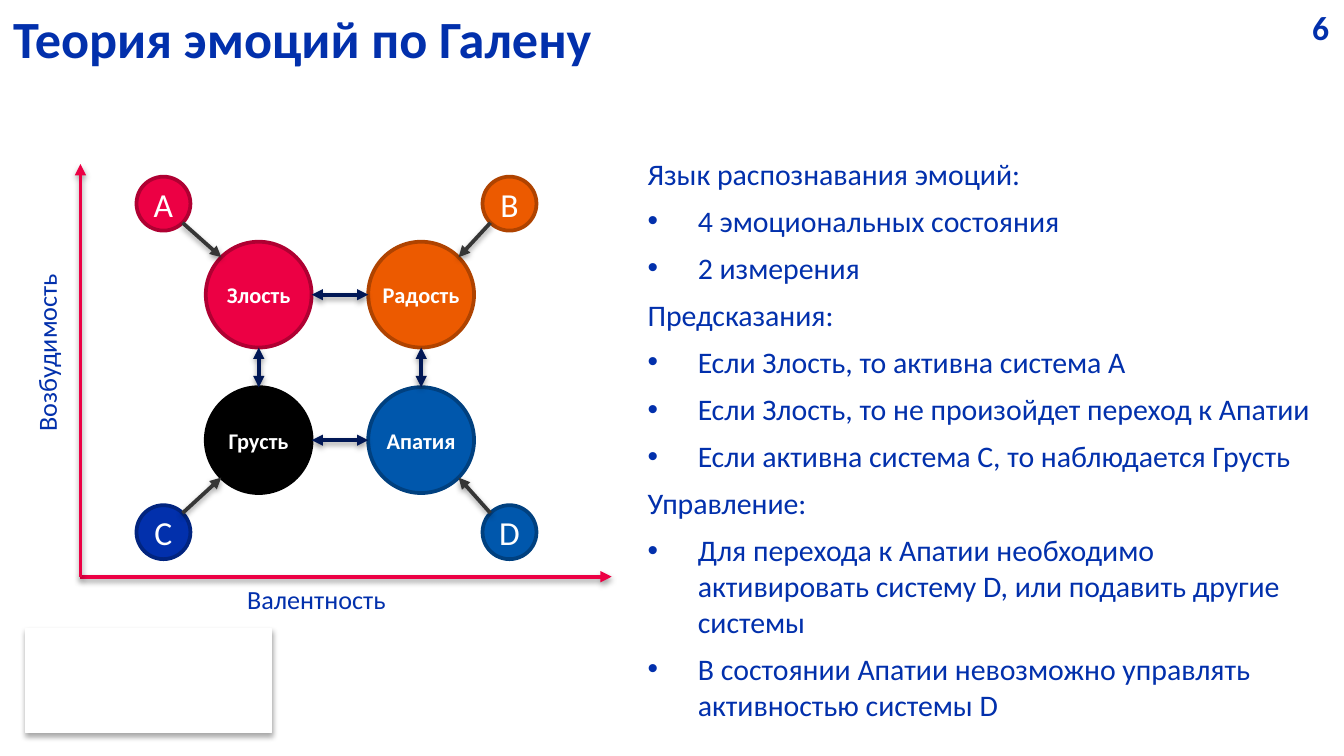
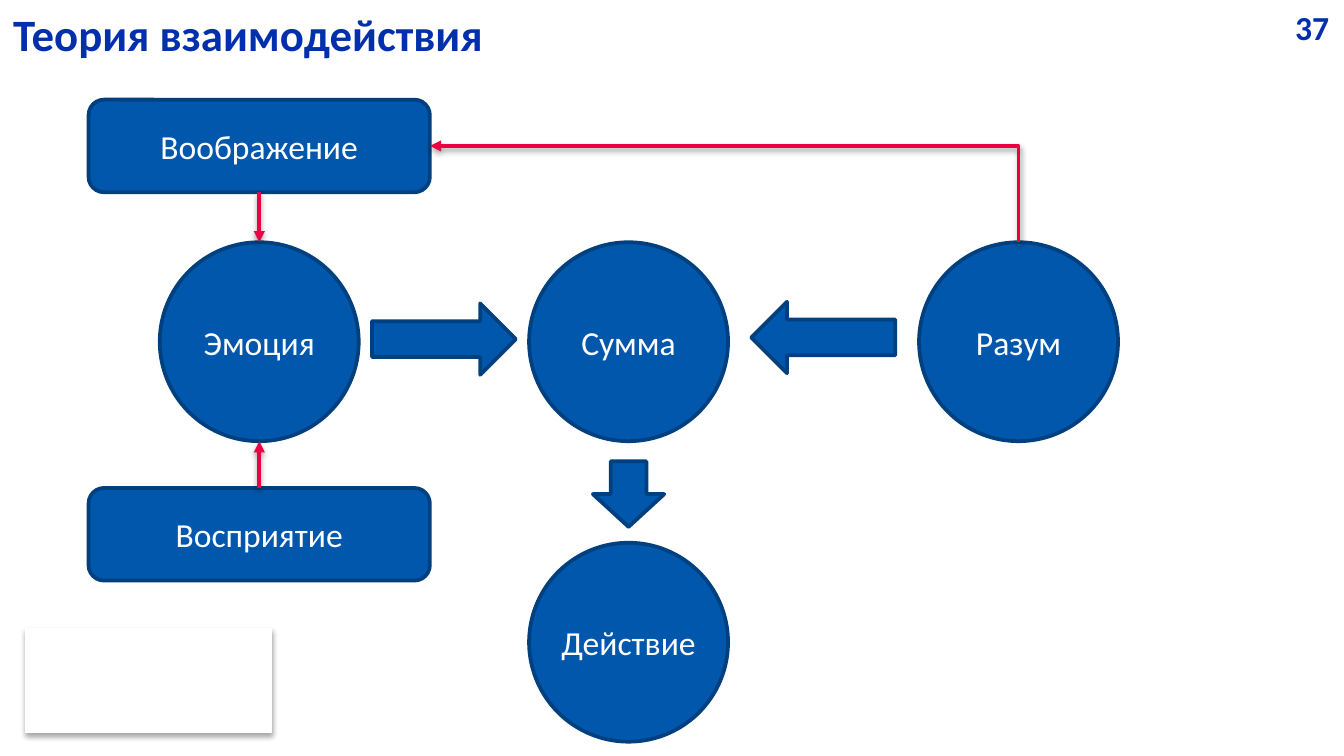
from dataclasses import dataclass
from itertools import product

from lxml.etree import SubElement
from pptx import Presentation
from pptx.dml.color import RGBColor
from pptx.enum.shapes import MSO_CONNECTOR as Link, MSO_SHAPE as Preset
from pptx.enum.text import MSO_ANCHOR as Anchor, PP_ALIGN as Align
from pptx.oxml.ns import qn
from pptx.shapes.autoshape import Shape
from pptx.shapes.connector import Connector
from pptx.slide import Slide
from pptx.util import Cm, Pt

FONT = "Calibri"
WHITE, NAVY, INK, GRAPHITE, CRIMSON = "FFFFFF", "0230AC", "011856", "363636", "EC0044"
RED = (CRIMSON, "AF0032")
ORANGE = ("EC5A00", "AF4300")
BLACK = ("000000", "000000")
INDIGO = (NAVY, "01247F")
BLUE = ("0057AC", "00407F")
DIAGONAL = 0.5 ** 0.5
Point = tuple[float, float]


@dataclass(frozen=True)
class Node:
    """A filled figure placed by its centre, in centimetres."""

    label: str
    x: float
    y: float
    width: float
    height: float
    colors: tuple[str, str] = BLUE
    preset: Preset = Preset.OVAL
    size: int = 18
    bold: bool = False


@dataclass(frozen=True)
class Caption:
    """A line of text in a box, in centimetres."""

    text: str
    left: float
    top: float
    width: float
    height: float
    size: int
    bold: bool = False
    align: Align = Align.LEFT
    rotation: int = 0


@dataclass(frozen=True)
class Topic:
    """A heading with its bullet points."""

    heading: str
    points: tuple[str, ...]


TOPICS = (
    Topic("Язык распознавания эмоций:", ("4 эмоциональных состояния", "2 измерения")),
    Topic("Предсказания:", (
        "Если Злость, то активна система A",
        "Если Злость, то не произойдет переход к Апатии",
        "Если активна система C, то наблюдается Грусть",
    )),
    Topic("Управление:", (
        "Для перехода к Апатии необходимо активировать систему D, или подавить другие системы",
        "В состоянии Апатии невозможно управлять активностью системы D",
    )),
)


def rgb(code: str) -> RGBColor:
    """Turn a hex string into a colour."""
    return RGBColor.from_string(code)


def style(paragraph, size: int, color: str, bold: bool = False) -> None:
    """Set the font of a paragraph."""
    font = paragraph.font
    font.name, font.size, font.bold = FONT, Pt(size), bold
    font.color.rgb = rgb(color)


def add_shadow(figure: Shape | Connector, opacity: int, distance: float) -> None:
    """Give a figure a soft shadow that falls straight down."""
    properties = figure.element.spPr
    effects = properties.find(qn("a:effectLst"))
    if effects is None:
        effects = SubElement(properties, qn("a:effectLst"))
    shadow = SubElement(effects, qn("a:outerShdw"), blurRad=str(Pt(3.1)),
                        dist=str(Pt(distance)), dir="5400000", rotWithShape="0")
    black = SubElement(shadow, qn("a:srgbClr"), val="000000")
    SubElement(black, qn("a:alpha"), val=str(opacity * 1000))


def draw_node(slide: Slide, node: Node, weight: float = 2) -> Shape:
    """Draw a node with its label in the middle."""
    figure = slide.shapes.add_shape(
        node.preset, Cm(node.x - node.width / 2), Cm(node.y - node.height / 2),
        Cm(node.width), Cm(node.height))
    figure.shadow.inherit = False
    fill, line = node.colors
    figure.fill.solid()
    figure.fill.fore_color.rgb = rgb(fill)
    figure.line.color.rgb = rgb(line)
    figure.line.width = Pt(weight)
    if node.label:
        frame = figure.text_frame
        frame.word_wrap = False
        frame.vertical_anchor = Anchor.MIDDLE
        frame.margin_left = frame.margin_right = 0
        label = frame.paragraphs[0]
        label.text, label.alignment = node.label, Align.CENTER
        style(label, node.size, WHITE, node.bold)
    return figure


def draw_caption(slide: Slide, caption: Caption) -> None:
    """Draw a caption in the text colour."""
    box = slide.shapes.add_textbox(Cm(caption.left), Cm(caption.top),
                                   Cm(caption.width), Cm(caption.height))
    box.rotation = caption.rotation
    box.text_frame.word_wrap = True
    line = box.text_frame.paragraphs[0]
    line.text, line.alignment = caption.text, caption.align
    style(line, caption.size, NAVY, caption.bold)


def draw_arrow(slide: Slide, start: Point, end: Point, color: str,
               heads: tuple[str, ...] = ("tailEnd",), link: Link = Link.STRAIGHT) -> Connector:
    """Draw a shadowed connector with triangular heads."""
    arrow = slide.shapes.add_connector(link, *map(Cm, start + end))
    arrow.line.color.rgb = rgb(color)
    arrow.line.width = Pt(2)
    outline = arrow.element.spPr.find(qn("a:ln"))
    for head in heads:
        SubElement(outline, qn(f"a:{head}"), type="triangle")
    add_shadow(arrow, 38, 1.6)
    return arrow


def draw_topics(slide: Slide, topics: tuple[Topic, ...]) -> None:
    """Write headings and bullet points into one column."""
    frame = slide.shapes.add_textbox(Cm(11.99), Cm(2.82), Cm(13.41), Cm(11.18)).text_frame
    frame.word_wrap = True
    lines = [(text, text != topic.heading)
             for topic in topics for text in (topic.heading, *topic.points)]
    for index, (text, bulleted) in enumerate(lines):
        paragraph = frame.add_paragraph() if index else frame.paragraphs[0]
        paragraph.text = text
        if index:
            paragraph.space_before = Pt(6)
        if bulleted:
            properties = paragraph._p.get_or_add_pPr()
            properties.set("marL", str(Cm(0.95)))
            properties.set("indent", str(-Cm(0.95)))
            SubElement(properties, qn("a:buFont"), typeface="Arial")
            SubElement(properties, qn("a:buChar"), char="•")
        style(paragraph, 16, NAVY)


def start_slide(deck, title: str, size: int, number: str) -> Slide:
    """Add a blank slide with the plate, title and page number."""
    slide = deck.slides.add_slide(deck.slide_layouts[6])
    plate = Node("", 2.81, 12.87, 4.65, 1.96, (WHITE, WHITE), Preset.RECTANGLE)
    add_shadow(draw_node(slide, plate, 0.75), 35, 1.8)
    draw_caption(slide, Caption(title, 0, 0, 18.52, 1.35, size, True))
    draw_caption(slide, Caption(number, 23.9, 0, 1.47, 1.02, 18, True, Align.RIGHT))
    return slide


def build_emotions(deck) -> None:
    """Build the map of four emotions and four systems."""
    slide = start_slide(deck, "Теория эмоций по Галену", 28, "6")
    origin = (1.52, 10.9)
    for tip in ((11.56, 10.9), (1.52, 3.1)):
        draw_arrow(slide, origin, tip, CRIMSON)

    columns, rows, state_size = (4.89, 7.96), (5.57, 8.32), 2.0
    system_columns, system_rows, system_size = (3.09, 9.63), (3.85, 10.06), 1.02
    states = (("Злость", RED), ("Радость", ORANGE), ("Грусть", BLACK), ("Апатия", BLUE))
    systems = (("А", RED), ("B", ORANGE), ("C", INDIGO), ("D", BLUE))
    for (row, column), state, system in zip(product(range(2), repeat=2), states, systems):
        x, y = columns[column], rows[row]
        system_x, system_y = system_columns[column], system_rows[row]
        draw_node(slide, Node(state[0], x, y, state_size, state_size, state[1],
                              size=12, bold=True))
        draw_node(slide, Node(system[0], system_x, system_y, system_size, system_size, system[1]))
        side, level = 2 * column - 1, 2 * row - 1
        near, far = system_size / 2 * DIAGONAL, state_size / 2 * DIAGONAL
        draw_arrow(slide, (system_x - side * near, system_y - level * near),
                   (x + side * far, y + level * far), GRAPHITE)

    radius, both = state_size / 2, ("headEnd", "tailEnd")
    for y in rows:
        draw_arrow(slide, (columns[0] + radius, y), (columns[1] - radius, y), INK, both)
    for x in columns:
        draw_arrow(slide, (x, rows[0] + radius), (x, rows[1] - radius), INK, both)

    draw_caption(slide, Caption("Возбудимость", -0.89, 6.22, 3.53, 0.84, 14, rotation=270))
    draw_caption(slide, Caption("Валентность", 4.42, 10.9, 3.53, 0.84, 14))
    draw_topics(slide, TOPICS)


def build_interaction(deck) -> None:
    """Build the scheme of emotion and reason leading to action."""
    slide = start_slide(deck, "Теория взаимодействия", 24, "37")
    emotion_x, sum_x, reason_x = 4.9, 11.88, 19.25
    middle, size = 6.46, 3.76
    top, bottom = middle - size / 2, middle + size / 2
    imagination_y, perception_y = 2.76, 10.1

    draw_node(slide, Node("Эмоция", emotion_x, middle, size, size))
    reason = draw_node(slide, Node("Разум", reason_x, middle, size, size))
    draw_node(slide, Node("Сумма", sum_x, middle, size, size))
    draw_node(slide, Node("Действие", sum_x, 12.14, size, size))
    for x, y, width, height, preset in (
        (8.39, 6.41, 2.72, 1.35, Preset.RIGHT_ARROW),
        (15.56, 6.38, 2.72, 1.35, Preset.LEFT_ARROW),
        (sum_x, 9.34, 1.35, 1.24, Preset.DOWN_ARROW),
    ):
        draw_node(slide, Node("", x, y, width, height, preset=preset))
    perception, imagination = (
        draw_node(slide, Node(label, emotion_x, y, 6.45, 1.75, preset=Preset.ROUNDED_RECTANGLE))
        for label, y in (("Восприятие", perception_y), ("Воображение", imagination_y)))

    draw_arrow(slide, (emotion_x, imagination_y), (emotion_x, top),
               CRIMSON).begin_connect(imagination, 2)
    draw_arrow(slide, (emotion_x, perception_y), (emotion_x, bottom),
               CRIMSON).begin_connect(perception, 0)
    feedback = draw_arrow(slide, (emotion_x, imagination_y), (reason_x, top),
                          CRIMSON, ("headEnd",), Link.ELBOW)
    feedback.begin_connect(imagination, 3)
    feedback.end_connect(reason, 0)
    feedback.element.spPr.find(qn("a:prstGeom")).set("prst", "bentConnector2")


def main() -> None:
    """Build and save the deck."""
    deck = Presentation()
    deck.slide_width, deck.slide_height = Cm(25.4), Cm(14.29)
    build_emotions(deck)
    build_interaction(deck)
    deck.save("out.pptx")


if __name__ == "__main__":
    main()
